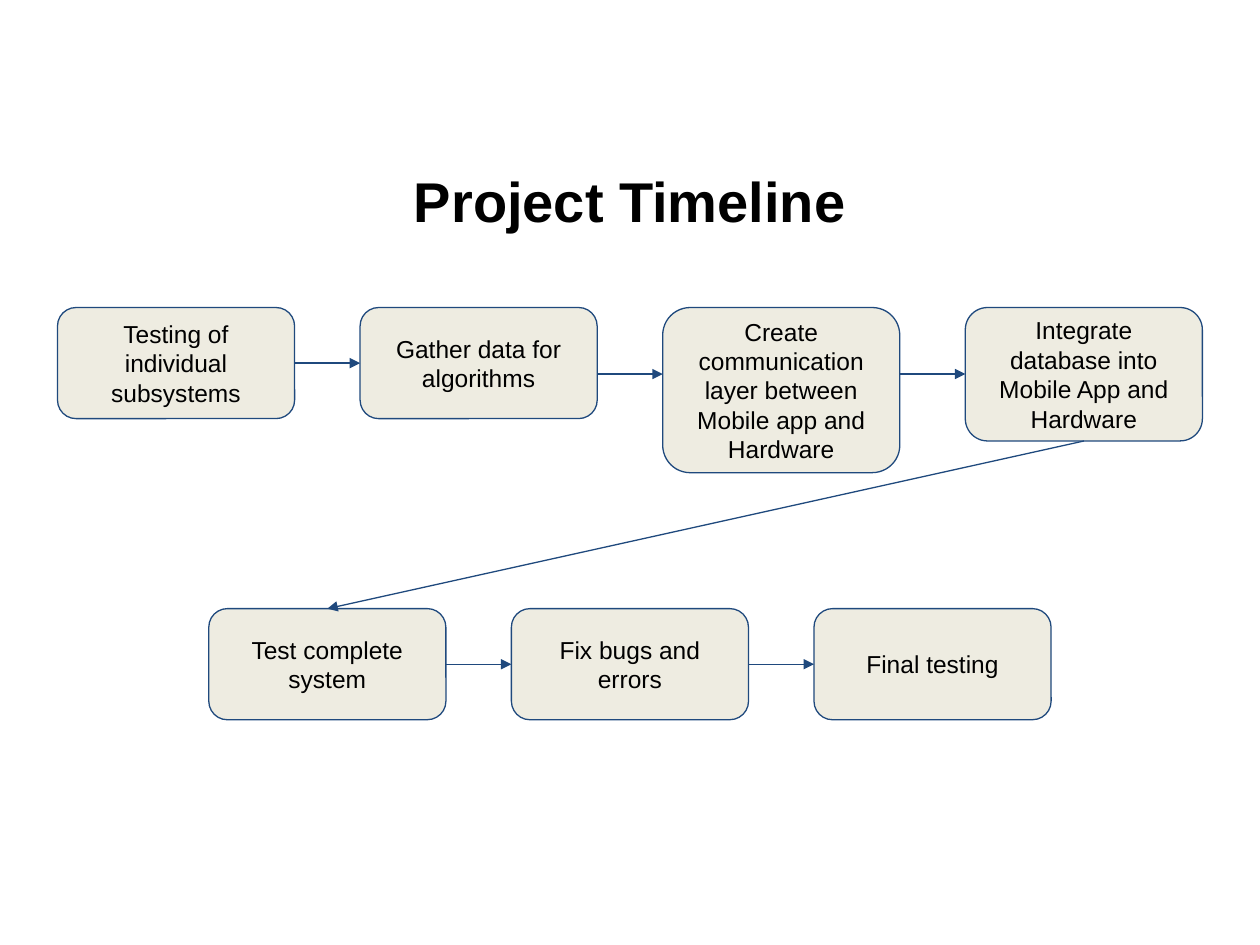
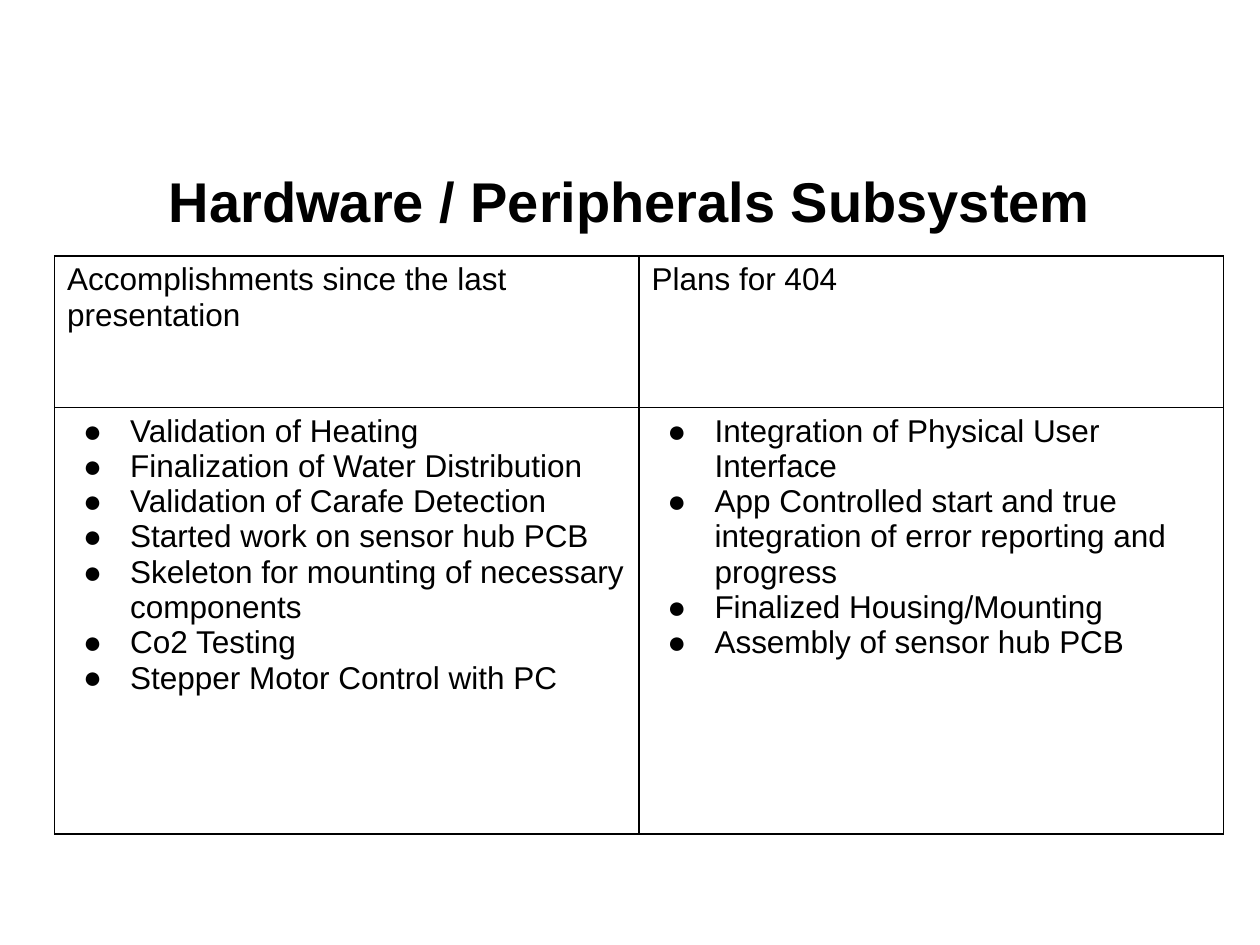
"""Build the project timeline and hardware subsystem slides."""
from lxml.etree import SubElement as Sub
from pptx import Presentation
from pptx.dml.color import RGBColor as RGB
from pptx.enum.shapes import MSO_CONNECTOR as Link, MSO_SHAPE as Shape
from pptx.enum.text import MSO_ANCHOR as Anchor, PP_ALIGN as Align
from pptx.oxml.ns import qn
from pptx.util import Cm, Pt

COLORS = {"text": "000000", "box": "EEECE1", "line": "1F497D", "grid": "000000"}
FONT = "Arial"
WIDE, HIGH = 25.4, 19.05
BOX_W, BOX_H, GAP = 4.78, 2.24, 1.32

FLOW = {
    "title": "Project Timeline",
    "rows": [
        {"top": 6.2, "links": [7.32, 7.54, 7.54], "steps": [
            ("Testing of individual subsystems", BOX_H),
            ("Gather data for algorithms", BOX_H),
            ("Create communication layer between Mobile app and Hardware", 3.33),
            ("Integrate database into Mobile App and Hardware", 2.69)]},
        {"top": 12.27, "links": [13.39, 13.39], "steps": [
            ("Test complete\nsystem", BOX_H),
            ("Fix bugs and errors", BOX_H),
            ("Final testing", BOX_H)]},
    ],
}

STATUS = {
    "title": "Hardware / Peripherals Subsystem",
    "cols": [
        ("Accomplishments since the last presentation", [
            "Validation of Heating",
            "Finalization of Water Distribution",
            "Validation of Carafe Detection",
            "Started work on sensor hub PCB",
            "Skeleton for mounting of necessary components",
            "Co2 Testing",
            "Stepper Motor Control with PC"]),
        ("Plans for 404", [
            "Integration of Physical User Interface",
            "App Controlled start and true integration of error reporting and progress",
            "Finalized Housing/Mounting",
            "Assembly of sensor hub PCB"]),
    ],
}


def color(name):
    return RGB.from_string(COLORS[name])


def write(frame, text, size, bold=False, align=None):
    frame.text = text
    frame.word_wrap = True
    for para in frame.paragraphs:
        para.alignment = align
        for run in para.runs:
            font = run.font
            font.name, font.size, font.bold = FONT, Pt(size), bold
            font.color.rgb = color("text")


def start(deck, title):
    slide = deck.slides.add_slide(deck.slide_layouts[6])
    box = slide.shapes.add_textbox(Cm(1.27), Cm(2.92), Cm(22.86), Cm(2.24))
    write(box.text_frame, title, 32, True, Align.CENTER)
    box.text_frame.vertical_anchor = Anchor.MIDDLE
    return slide


def stroke(line):
    line.color.rgb = color("line")
    line.width = Pt(0.75)


def add_step(slide, text, left, top, high):
    box = slide.shapes.add_shape(
        Shape.ROUNDED_RECTANGLE, Cm(left), Cm(top), Cm(BOX_W), Cm(high))
    box.shadow.inherit = False
    box.fill.solid()
    box.fill.fore_color.rgb = color("box")
    stroke(box.line)
    frame = box.text_frame
    write(frame, text, 14, align=Align.CENTER)
    frame.vertical_anchor = Anchor.MIDDLE
    frame.margin_left = frame.margin_right = Cm(0.25)
    frame.margin_top = frame.margin_bottom = Cm(0.25)
    return box


def add_arrow(slide, *ends):
    arrow = slide.shapes.add_connector(Link.STRAIGHT, *ends)
    stroke(arrow.line)
    props = arrow._element.spPr
    Sub(props.find(qn("a:ln")), qn("a:tailEnd"), type="triangle")
    Sub(props, qn("a:effectLst"))


def add_row(slide, row):
    steps = row["steps"]
    pitch = BOX_W + GAP
    left = (WIDE - len(steps) * pitch + GAP) / 2
    boxes = [add_step(slide, text, left + i * pitch, row["top"], high)
             for i, (text, high) in enumerate(steps)]
    for a, b, y in zip(boxes, boxes[1:], row["links"]):
        add_arrow(slide, a.left + a.width, Cm(y), b.left, Cm(y))
    return boxes


def add_flow(deck):
    slide = start(deck, FLOW["title"])
    upper, lower = [add_row(slide, row) for row in FLOW["rows"]]
    last, first = upper[-1], lower[0]
    add_arrow(slide, last.left + last.width // 2, last.top + last.height,
              first.left + first.width // 2, first.top)


def add_border(cell):
    props = cell._tc.get_or_add_tcPr()
    for side in ("L", "R", "T", "B"):
        line = Sub(props, qn(f"a:ln{side}"), w=str(Pt(1)))
        fill = Sub(line, qn("a:solidFill"))
        Sub(fill, qn("a:srgbClr"), val=COLORS["grid"])
    cell.fill.background()


def add_bullets(frame):
    for para in frame.paragraphs:
        props = para._p.get_or_add_pPr()
        props.set("marL", str(Cm(1.27)))
        props.set("indent", str(-Cm(0.95)))
        tint = Sub(props, qn("a:buClr"))
        Sub(tint, qn("a:srgbClr"), val=COLORS["text"])
        Sub(props, qn("a:buFont"), typeface=FONT)
        Sub(props, qn("a:buChar"), char="●")


def add_status(deck):
    slide = start(deck, STATUS["title"])
    cols, rows = [11.78, 11.78], [3.05, 8.6]
    table = slide.shapes.add_table(
        2, 2, Cm(1.1), Cm(5.16), Cm(sum(cols)), Cm(sum(rows))).table
    table.first_row = table.horz_banding = False
    for row, high in zip(table.rows, rows):
        row.height = Cm(high)
    for i, (head, items) in enumerate(STATUS["cols"]):
        table.columns[i].width = Cm(cols[i])
        top, body = table.cell(0, i), table.cell(1, i)
        write(top.text_frame, head, 18)
        write(body.text_frame, "\n".join(items), 18)
        add_bullets(body.text_frame)
        for cell in (top, body):
            add_border(cell)


def main():
    deck = Presentation()
    deck.slide_width, deck.slide_height = Cm(WIDE), Cm(HIGH)
    add_flow(deck)
    add_status(deck)
    deck.save("out.pptx")


if __name__ == "__main__":
    main()
